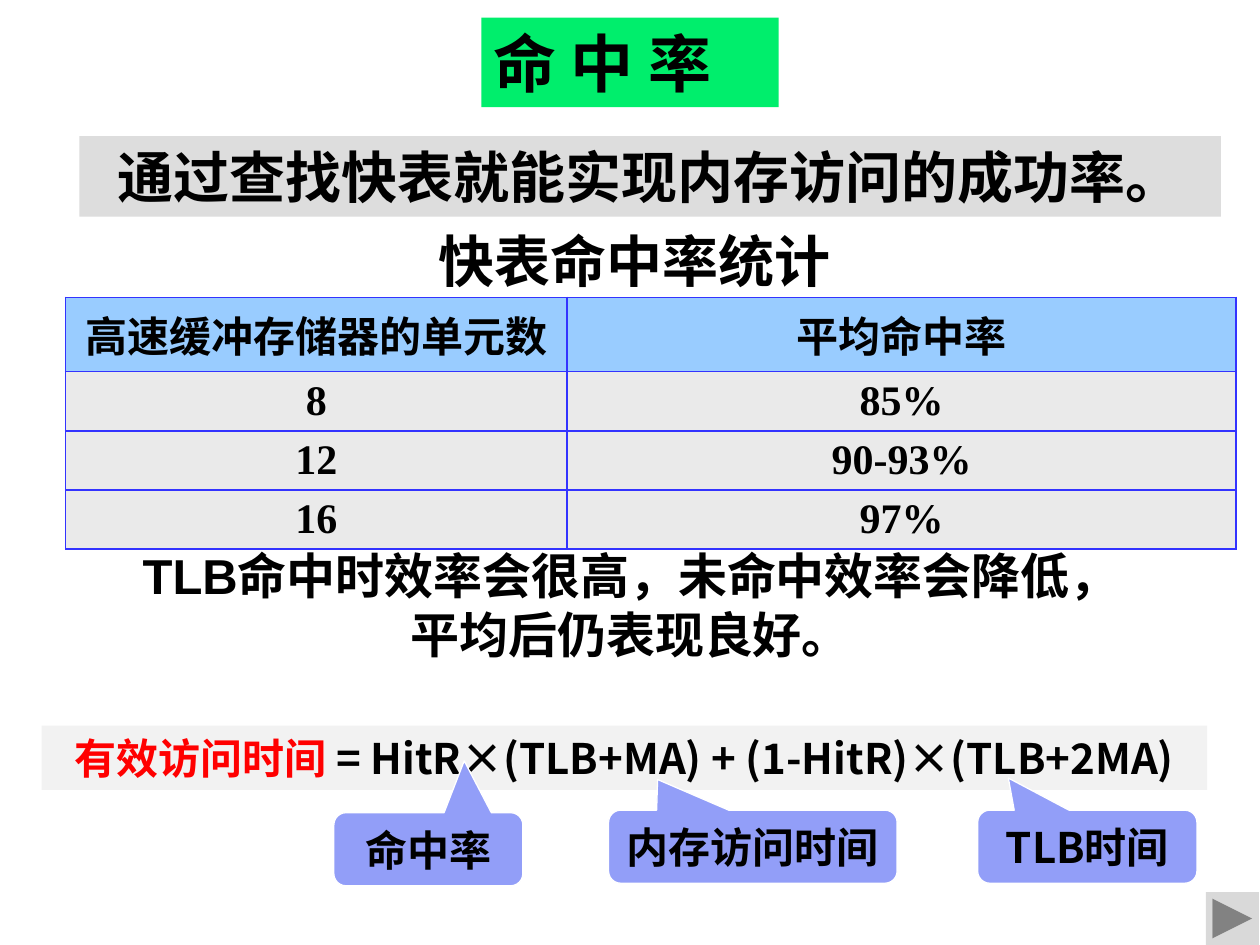
from lxml.etree import SubElement
from pptx import Presentation
from pptx.dml.color import RGBColor
from pptx.enum.shapes import MSO_SHAPE
from pptx.enum.text import MSO_ANCHOR, PP_ALIGN
from pptx.oxml.ns import qn
from pptx.util import Inches, Pt

BLACK = RGBColor(0x00, 0x00, 0x00)
RED = RGBColor(0xFF, 0x00, 0x00)
WHITE = RGBColor(0xFF, 0xFF, 0xFF)
GREEN = RGBColor(0x00, 0xEE, 0x6C)
GREY = RGBColor(0xDD, 0xDD, 0xDD)
PALE_GREY = RGBColor(0xF2, 0xF2, 0xF2)
BUTTON_GREY = RGBColor(0xD9, 0xD9, 0xD9)
HEADER_BLUE = RGBColor(0x99, 0xCC, 0xFF)
CELL_GREY = RGBColor(0xEA, 0xEA, 0xEA)
BORDER_BLUE = RGBColor(0x33, 0x33, 0xFF)
CALLOUT_BLUE = RGBColor(0x92, 0x9E, 0xF8)
SANS = "Noto Sans CJK SC"
SERIF = "Times New Roman"


def add_text(para, text, size, font, color=BLACK, align=PP_ALIGN.CENTER):
    """Add one bold run, with the sans font for Chinese characters."""
    para.alignment = align
    span = para.add_run()
    span.text = text
    span.font.size = Pt(size)
    span.font.bold = True
    span.font.name = font
    span.font.color.rgb = color
    SubElement(span.font._element, qn("a:ea")).set("typeface", SANS)


def add_filled(kind, left, top, width, height, fill):
    """Add a flat filled shape without outline."""
    shape = page.shapes.add_shape(
        kind, Inches(left), Inches(top), Inches(width), Inches(height))
    shape.shadow.inherit = False
    shape.fill.solid()
    shape.fill.fore_color.rgb = fill
    shape.line.fill.background()
    shape.text_frame.vertical_anchor = MSO_ANCHOR.MIDDLE
    return shape


deck = Presentation()
deck.slide_width = Inches(10)
deck.slide_height = Inches(7.5)
page = deck.slides.add_slide(deck.slide_layouts[6])

# Table caption
caption = page.shapes.add_textbox(Inches(1.54), Inches(1.81), Inches(7), Inches(0.63))
caption.text_frame.word_wrap = True
para = caption.text_frame.paragraphs[0]
para.line_spacing = 0.9
add_text(para, "快表命中率统计", 32, SERIF)

# Hit rate table
rows = [
    ("高速缓冲存储器的单元数", "平均命中率"),
    ("8", "85%"),
    ("12", "90-93%"),
    ("16", "97%"),
]
table = page.shapes.add_table(
    len(rows), 2, Inches(0.52), Inches(2.36), Inches(9.29), Inches(2)).table
table.columns[0].width = Inches(3.98)
table.columns[1].width = Inches(5.31)
for row_index, row in enumerate(rows):
    table.rows[row_index].height = Inches(0.47 if row_index else 0.59)
    for column_index, text in enumerate(row):
        cell = table.cell(row_index, column_index)
        cell.margin_top = cell.margin_bottom = Inches(0.02)
        cell.vertical_anchor = MSO_ANCHOR.MIDDLE
        add_text(cell.text_frame.paragraphs[0], text, 24, SERIF)
        properties = cell._tc.get_or_add_tcPr()
        for side in ("a:lnL", "a:lnR", "a:lnT", "a:lnB"):
            border = SubElement(properties, qn(side), w=str(Pt(1)))
            border_fill = SubElement(border, qn("a:solidFill"))
            SubElement(border_fill, qn("a:srgbClr"), val=str(BORDER_BLUE))
        cell.fill.solid()
        cell.fill.fore_color.rgb = CELL_GREY if row_index else HEADER_BLUE

# Definition and title
definition = add_filled(MSO_SHAPE.RECTANGLE, 0.63, 1.08, 9.06, 0.64, GREY)
add_text(definition.text_frame.paragraphs[0],
         "通过查找快表就能实现内存访问的成功率。", 32, SERIF)
title = add_filled(MSO_SHAPE.RECTANGLE, 3.82, 0.14, 2.36, 0.71, GREEN)
add_text(title.text_frame.paragraphs[0], "命 中 率", 36, SANS, align=PP_ALIGN.LEFT)

# Conclusion
conclusion = page.shapes.add_textbox(Inches(0.59), Inches(4.28), Inches(8.83), Inches(0.95))
conclusion.text_frame.word_wrap = True
lines = ["TLB命中时效率会很高，未命中效率会降低，", "平均后仍表现良好。"]
for index, line in enumerate(lines):
    para = conclusion.text_frame.add_paragraph() if index else conclusion.text_frame.paragraphs[0]
    add_text(para, line, 28, "Arial")

# Effective access time formula
formula = add_filled(MSO_SHAPE.RECTANGLE, 0.33, 5.76, 9.25, 0.51, PALE_GREY)
para = formula.text_frame.paragraphs[0]
add_text(para, "有效访问时间 ", 24, SANS, RED)
add_text(para, "= HitR×(TLB+MA) + (1-HitR)×(TLB+2MA)", 24, SANS)

# Callouts pointing up at the terms: left, top, width, tip x, tip y
callouts = [
    ("命中率", 2.65, 6.45, 1.5, 0.19, -1.21),
    ("内存访问时间", 4.83, 6.43, 2.29, -0.33, -0.92),
    ("TLB时间", 7.76, 6.43, 1.74, -0.36, -0.94),
]
for text, left, top, width, tip_x, tip_y in callouts:
    callout = add_filled(
        MSO_SHAPE.ROUNDED_RECTANGULAR_CALLOUT, left, top, width, 0.58, CALLOUT_BLUE)
    callout.adjustments[0] = tip_x
    callout.adjustments[1] = tip_y
    callout.line.color.rgb = WHITE
    callout.line.width = Pt(0.75)
    add_text(callout.text_frame.paragraphs[0], text, 24, SANS)

# Next button
add_filled(MSO_SHAPE.ACTION_BUTTON_FORWARD_OR_NEXT, 9.57, 7.08, 0.42, 0.42, BUTTON_GREY)

deck.save("out.pptx")
